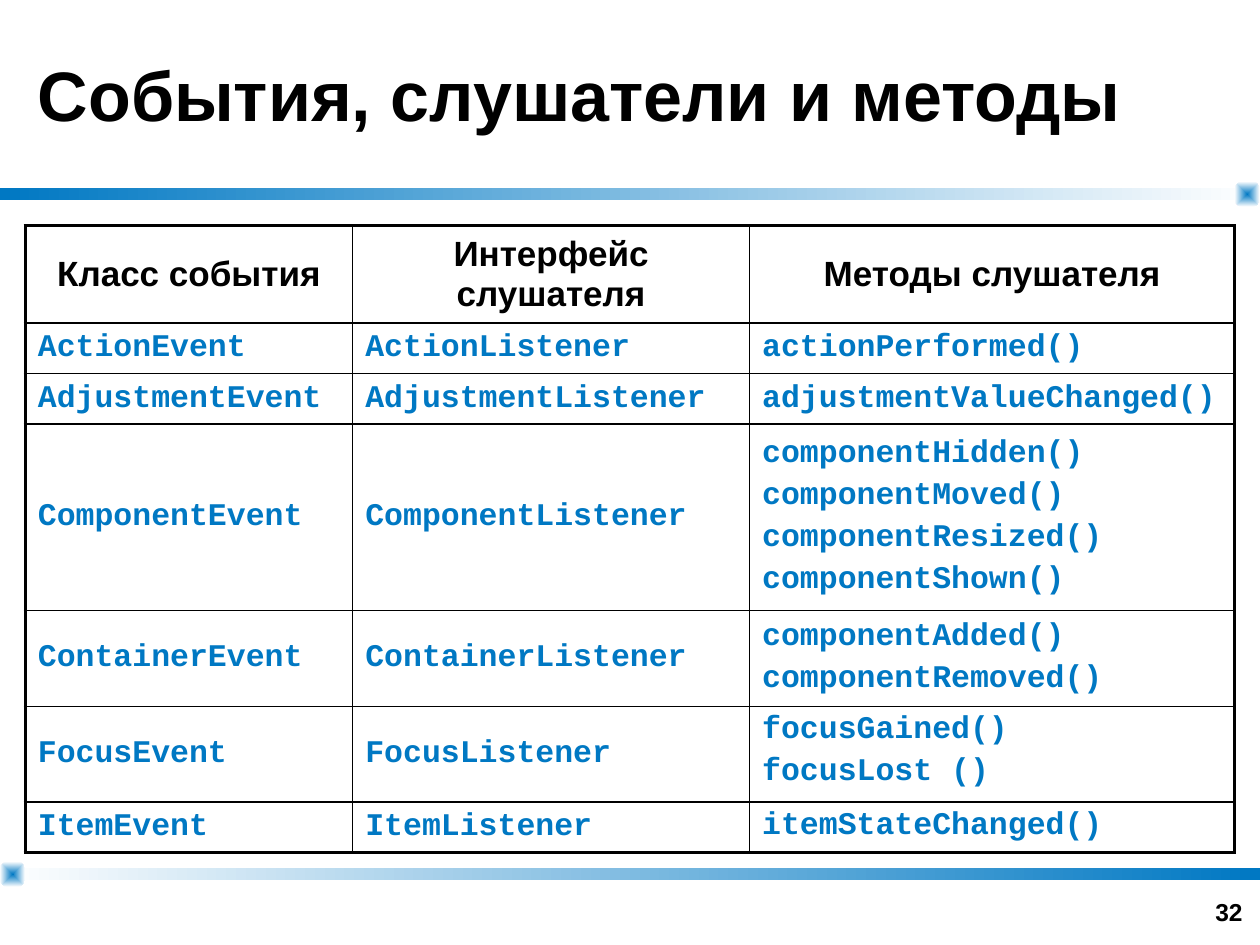
from lxml import etree
from pptx import Presentation
from pptx.dml.color import RGBColor
from pptx.enum.shapes import MSO_SHAPE
from pptx.enum.text import MSO_ANCHOR, MSO_AUTO_SIZE, PP_ALIGN
from pptx.oxml.ns import qn
from pptx.util import Cm, Pt

BLACK = RGBColor(0x00, 0x00, 0x00)
BLUE = RGBColor(0x00, 0x78, 0xC3)
WHITE = RGBColor(0xFF, 0xFF, 0xFF)

RECT, ROUNDED = MSO_SHAPE.RECTANGLE, MSO_SHAPE.ROUNDED_RECTANGLE
TOP, MIDDLE, BOTTOM = MSO_ANCHOR.TOP, MSO_ANCHOR.MIDDLE, MSO_ANCHOR.BOTTOM
LEFT, CENTER, RIGHT = PP_ALIGN.LEFT, PP_ALIGN.CENTER, PP_ALIGN.RIGHT
NO_FIT = MSO_AUTO_SIZE.NONE

SLIDE_W, SLIDE_H = 25.4, 19.05
MARGIN = 0.51
BAR_H, KNOB = 0.25, 0.51
OUTER, INNER = 2.25, 1

TITLE_FONT = {"name": "Arial", "size": Pt(40), "bold": True}
HEAD_FONT = {"name": "Arial", "size": Pt(20), "bold": True}
CODE_FONT = {"name": "Courier New", "size": Pt(18), "bold": True}
NUMBER_FONT = {"name": "Arial", "size": Pt(14), "bold": True}

COL_WIDTHS = [6.6, 8, 9.78]
ROW_HEIGHTS = [1.96, 1.02, 1.02, 3.76, 1.93, 1.93, 1.02]
HEADERS = ["Класс события", "Интерфейс слушателя", "Методы слушателя"]
# Event name, listener methods, anchor of the methods cell
EVENTS = [
    ("Action", ["actionPerformed()"], MIDDLE),
    ("Adjustment", ["adjustmentValueChanged()"], MIDDLE),
    ("Component", ["componentHidden()", "componentMoved()",
                   "componentResized()", "componentShown()"], MIDDLE),
    ("Container", ["componentAdded()", "componentRemoved()"], MIDDLE),
    ("Focus", ["focusGained()", "focusLost ()"], TOP),
    ("Item", ["itemStateChanged()"], TOP),
]


def write(p, text, font, color, align=LEFT):
    p.alignment = align
    r = p.add_run()
    r.text = text
    for name, value in font.items():
        setattr(r.font, name, value)
    r.font.color.rgb = color


def set_frame(tf, anchor):
    tf.word_wrap = True
    tf.auto_size = NO_FIT
    tf.vertical_anchor = anchor


def add_gradient(s, kind, x, y, w, h, colors):
    sp = s.shapes.add_shape(kind, Cm(x), Cm(y), Cm(w), Cm(h))
    sp.shadow.inherit = False
    sp.line.fill.background()
    sp.fill.gradient()
    sp.fill.gradient_angle = 0
    for stop, color in zip(sp.fill.gradient_stops, colors):
        stop.color.rgb = color
    return sp


def add_knob(s, x, y):
    sp = add_gradient(s, ROUNDED, x, y, KNOB, KNOB, (BLUE, WHITE))
    sp.adjustments[0] = 0.32
    # Gradient runs from the centre outwards
    grad = sp._element.spPr.find(qn("a:gradFill"))
    radial = etree.Element(qn("a:path"), path="shape")
    etree.SubElement(radial, qn("a:fillToRect"),
                     l="50000", t="50000", r="50000", b="50000")
    grad.replace(grad.find(qn("a:lin")), radial)


def add_rule(s, y, knob_x, colors):
    add_gradient(s, RECT, 0, y, SLIDE_W, BAR_H, colors)
    add_knob(s, knob_x, y + (BAR_H - KNOB) / 2)


def set_border(cell, side, width):
    ln = etree.SubElement(cell._tc.get_or_add_tcPr(), qn("a:ln" + side),
                          w=str(Pt(width)))
    fill = etree.SubElement(ln, qn("a:solidFill"))
    etree.SubElement(fill, qn("a:srgbClr"), val=str(BLACK))


def space_before(p, percent):
    spc = etree.Element(qn("a:spcBef"))
    etree.SubElement(spc, qn("a:spcPct"), val=str(percent * 1000))
    p._p.get_or_add_pPr().insert(0, spc)


def fill_cell(cell, lines, font, color, align, anchor):
    cell.vertical_anchor = anchor
    tf = cell.text_frame
    for i, line in enumerate(lines):
        p = tf.add_paragraph() if i else tf.paragraphs[0]
        write(p, line, font, color, align)
        space_before(p, 20)


def add_events_table(s):
    n_rows, n_cols = len(ROW_HEIGHTS), len(COL_WIDTHS)
    table = s.shapes.add_table(n_rows, n_cols, Cm(MARGIN), Cm(4.55),
                               Cm(sum(COL_WIDTHS)), Cm(sum(ROW_HEIGHTS))).table
    table.first_row = table.horz_banding = False
    for col, width in zip(table.columns, COL_WIDTHS):
        col.width = Cm(width)
    for row, height in zip(table.rows, ROW_HEIGHTS):
        row.height = Cm(height)

    # Thick frame, thin inner lines
    for i in range(n_rows):
        for j in range(n_cols):
            cell = table.cell(i, j)
            at_edge = {"L": j == 0, "R": j == n_cols - 1,
                       "T": i == 0, "B": i == n_rows - 1}
            for side, outer in at_edge.items():
                set_border(cell, side, OUTER if outer else INNER)
            cell.fill.background()

    for j, header in enumerate(HEADERS):
        fill_cell(table.cell(0, j), [header], HEAD_FONT, BLACK, CENTER, MIDDLE)
    for i, (event, methods, anchor) in enumerate(EVENTS, 1):
        columns = [([event + "Event"], MIDDLE),
                   ([event + "Listener"], MIDDLE), (methods, anchor)]
        for j, (lines, cell_anchor) in enumerate(columns):
            fill_cell(table.cell(i, j), lines, CODE_FONT, BLUE, LEFT, cell_anchor)


def add_title(s, text):
    sp = s.shapes.title
    box = {"left": MARGIN, "top": 0, "width": SLIDE_W - 2 * MARGIN, "height": 3.78}
    for name, value in box.items():
        setattr(sp, name, Cm(value))
    set_frame(sp.text_frame, MIDDLE)
    write(sp.text_frame.paragraphs[0], text, TITLE_FONT, BLACK)


def add_page_number(s, text):
    tf = s.shapes.add_textbox(Cm(19.38), Cm(17.53), Cm(5.92), Cm(1.27)).text_frame
    set_frame(tf, BOTTOM)
    write(tf.paragraphs[0], text, NUMBER_FONT, BLACK, RIGHT)


def main():
    prs = Presentation()
    prs.slide_width, prs.slide_height = Cm(SLIDE_W), Cm(SLIDE_H)
    s = prs.slides.add_slide(prs.slide_layouts[5])

    # Rules above and below the table
    add_rule(s, 3.79, SLIDE_W - KNOB, (BLUE, WHITE))
    add_rule(s, 17.5, 0, (WHITE, BLUE))

    add_title(s, "События, слушатели и методы")
    add_events_table(s)
    add_page_number(s, "32")
    prs.save("out.pptx")


if __name__ == "__main__":
    main()
